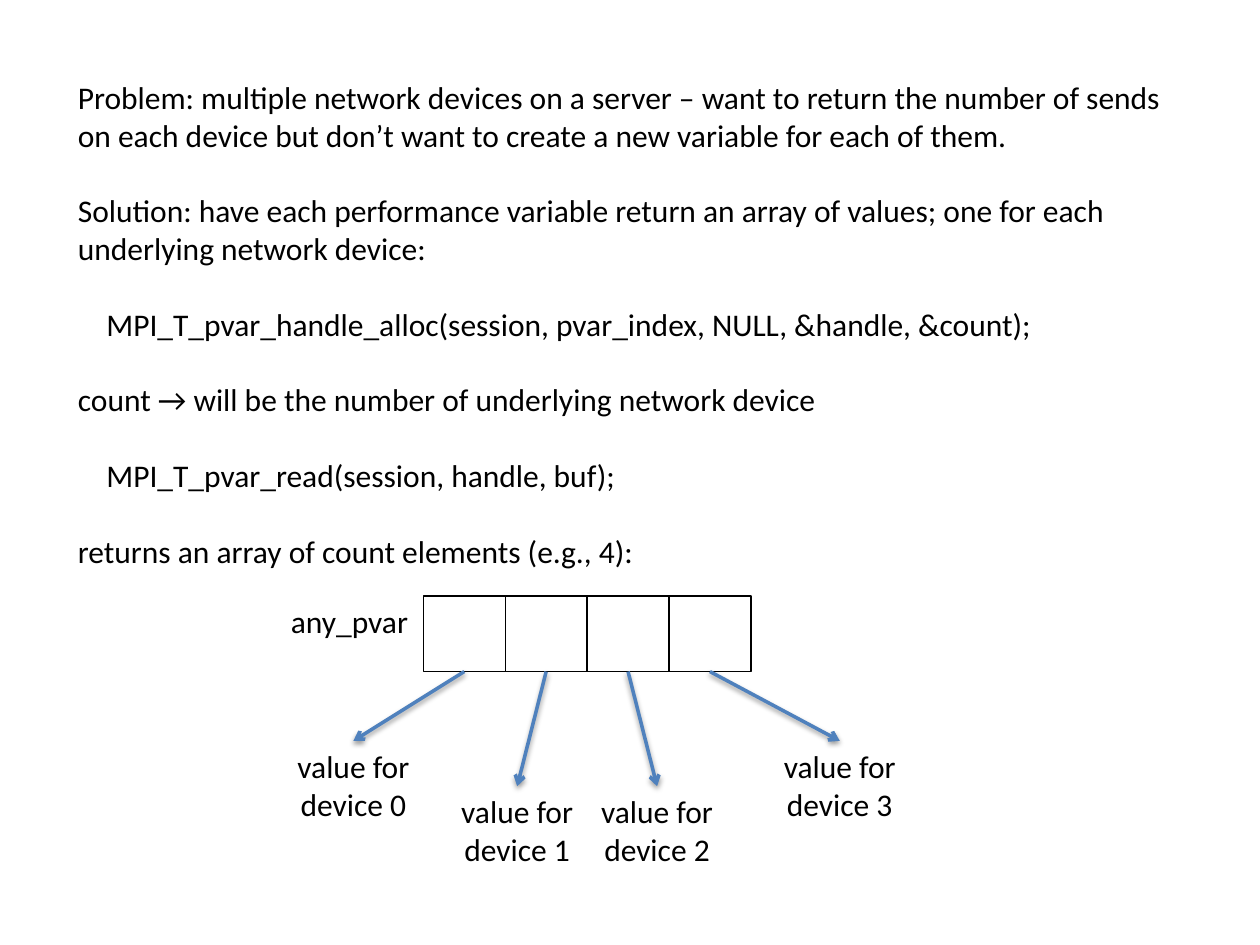
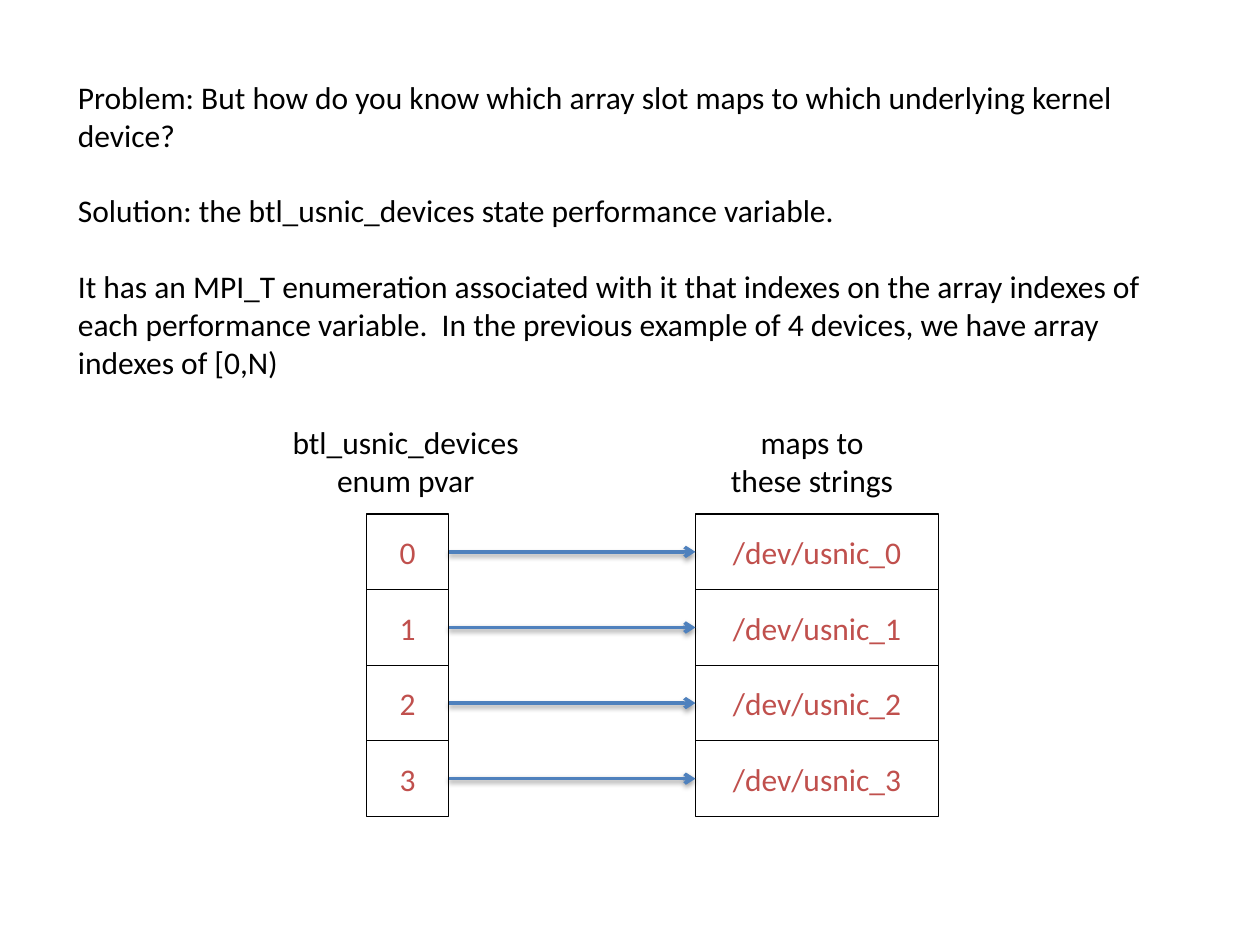
from lxml.etree import SubElement
from pptx import Presentation
from pptx.dml.color import RGBColor
from pptx.enum.shapes import MSO_CONNECTOR, MSO_SHAPE
from pptx.enum.text import MSO_ANCHOR, MSO_AUTO_SIZE, PP_ALIGN
from pptx.oxml.ns import qn
from pptx.util import Inches, Pt

# All lengths are hundredths of the slide width.
WIDTH, HEIGHT = 100, 75
BLACK, BLUE, RED = "000000", "4F81BD", "C0504D"
FONT, SIZE, BLANK_LINE = "Calibri", 18, 21.6
CELL_WIDTH, CELL_HEIGHT = 6.5, 6
STRING_WIDTH = 19.3
LABEL_WIDTH, LABEL_HEIGHT = 11.1, 7.1
CODE_INDENT = 2.26


def grid(units):
    """Turn hundredths of the slide width into a length."""
    return Inches(units / 10)


def color(hex_code):
    """Turn a hex string into a colour."""
    return RGBColor.from_string(hex_code)


def write(frame, lines, ink=BLACK, align=PP_ALIGN.LEFT, gap=0, code=()):
    """Fill a text frame with one paragraph a line; indent those in code."""
    for number, line in enumerate(lines):
        paragraph = frame.add_paragraph() if number else frame.paragraphs[0]
        paragraph.alignment = align
        if number and gap:
            paragraph.space_before = Pt(gap)
        if number in code:
            paragraph._p.get_or_add_pPr().set("marL", str(grid(CODE_INDENT)))
        run = paragraph.add_run()
        run.text = line
        run.font.name, run.font.size = FONT, Pt(SIZE)
        run.font.color.rgb = color(ink)


def add_text(slide, left, top, width, height, lines, wrap=False, **style):
    """Add a text box that grows with its text."""
    box = slide.shapes.add_textbox(*map(grid, (left, top, width, height)))
    box.text_frame.word_wrap = wrap
    box.text_frame.auto_size = MSO_AUTO_SIZE.SHAPE_TO_FIT_TEXT
    write(box.text_frame, lines, **style)


def add_label(slide, left, top, lines, width=LABEL_WIDTH):
    """Add a centred two-line label."""
    add_text(slide, left, top, width, LABEL_HEIGHT, lines,
             align=PP_ALIGN.CENTER)


def add_explanation(slide, height, lines, code=()):
    """Add the explanation that opens each slide."""
    add_text(slide, 5.2, 5.7, 89, height, lines, wrap=True,
             gap=BLANK_LINE, code=code)


def add_cell(slide, left, top, width=CELL_WIDTH, text=""):
    """Add one outlined array cell, with its value if it has one."""
    cell = slide.shapes.add_shape(
        MSO_SHAPE.RECTANGLE, *map(grid, (left, top, width, CELL_HEIGHT)))
    cell.shadow.inherit = False
    cell.fill.background()
    cell.line.color.rgb = color(BLACK)
    cell.line.width = Pt(0.75)
    if text:
        cell.text_frame.vertical_anchor = MSO_ANCHOR.MIDDLE
        write(cell.text_frame, [text], ink=RED, align=PP_ALIGN.CENTER)


def add_arrow(slide, start, end):
    """Add a blue arrow with a soft shadow below it."""
    arrow = slide.shapes.add_connector(
        MSO_CONNECTOR.STRAIGHT, *map(grid, (*start, *end)))
    arrow.line.color.rgb = color(BLUE)
    arrow.line.width = Pt(2)
    properties = arrow._element.spPr
    SubElement(properties.find(qn("a:ln")), qn("a:tailEnd"), type="arrow")
    effects = SubElement(properties, qn("a:effectLst"))
    shadow = SubElement(effects, qn("a:outerShdw"), blurRad=str(Pt(3.1)),
                        dist=str(Pt(1.6)), dir="5400000", rotWithShape="0")
    ink = SubElement(shadow, qn("a:srgbClr"), val=BLACK)
    SubElement(ink, qn("a:alpha"), val="38000")


def build_array_slide(slide):
    """Show a variable that returns an array with one value a device."""
    add_explanation(slide, 40.4, [
        "Problem: multiple network devices on a server – want to return the "
        "number of sends on each device but don’t want to create a new "
        "variable for each of them.",
        "Solution: have each performance variable return an array of values; "
        "one for each underlying network device:",
        "MPI_T_pvar_handle_alloc(session, pvar_index, NULL, &handle, &count);",
        "count → will be the number of underlying network device",
        "MPI_T_pvar_read(session, handle, buf);",
        "returns an array of count elements (e.g., 4):",
    ], code=(2, 4))
    array_left, array_top = 33.6, 47.3
    outer_top, inner_top = 58.8, 62.4
    add_text(slide, 22.1, array_top, 11.5, 4, ["any_pvar"])
    value_places = [(22.5, outer_top), (35.5, inner_top),
                    (46.6, inner_top), (61.1, outer_top)]
    for device, (value_left, value_top) in enumerate(value_places):
        cell_left = array_left + device * CELL_WIDTH
        add_cell(slide, cell_left, array_top)
        add_label(slide, value_left, value_top,
                  ["value for", f"device {device}"])
        add_arrow(slide,
                  (cell_left + CELL_WIDTH / 2, array_top + CELL_HEIGHT),
                  (value_left + LABEL_WIDTH / 2, value_top))


def build_mapping_slide(slide):
    """Show how array indexes map to device names."""
    add_explanation(slide, 25.2, [
        "Problem: But how do you know which array slot maps to which "
        "underlying kernel device?",
        "Solution: the btl_usnic_devices state performance variable.",
        "It has an MPI_T enumeration associated with it that indexes on the "
        "array indexes of each performance variable.  In the previous example "
        "of 4 devices, we have array indexes of [0,N)",
    ])
    index_left, string_left, table_top, heading_top = 29.1, 55.2, 40.8, 33.1
    add_label(slide, 22.1, heading_top, ["btl_usnic_devices", "enum pvar"],
              width=20.2)
    add_label(slide, 56.9, heading_top, ["maps to", "these strings"],
              width=15.1)
    for index in range(4):
        top = table_top + index * CELL_HEIGHT
        middle = top + CELL_HEIGHT / 2
        add_cell(slide, index_left, top, text=str(index))
        add_cell(slide, string_left, top, STRING_WIDTH, f"/dev/usnic_{index}")
        add_arrow(slide, (index_left + CELL_WIDTH, middle),
                  (string_left, middle))


def main():
    """Build both slides and save them."""
    deck = Presentation()
    deck.slide_width, deck.slide_height = grid(WIDTH), grid(HEIGHT)
    blank = deck.slide_layouts[6]
    for build in (build_array_slide, build_mapping_slide):
        build(deck.slides.add_slide(blank))
    deck.save("out.pptx")


main()
